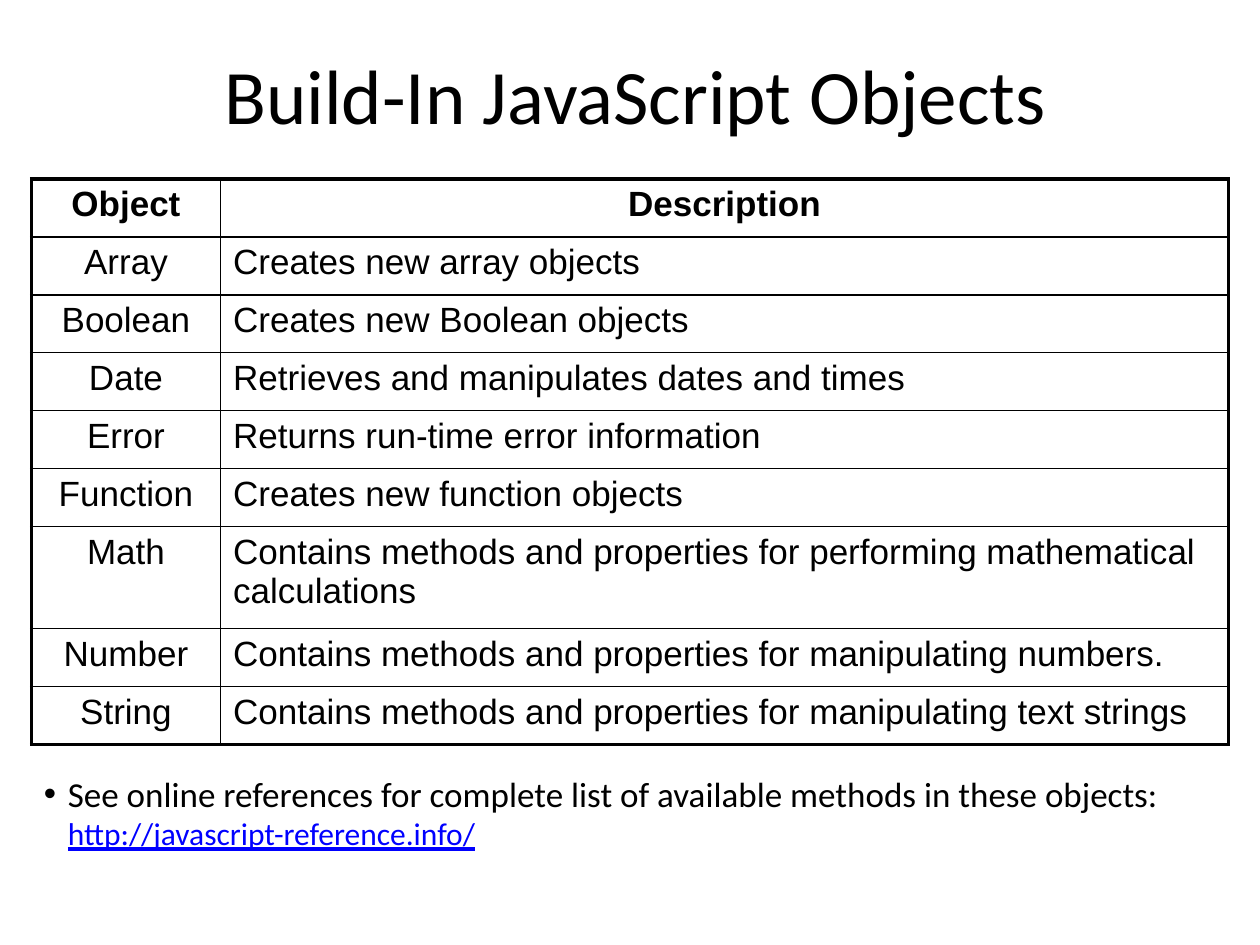
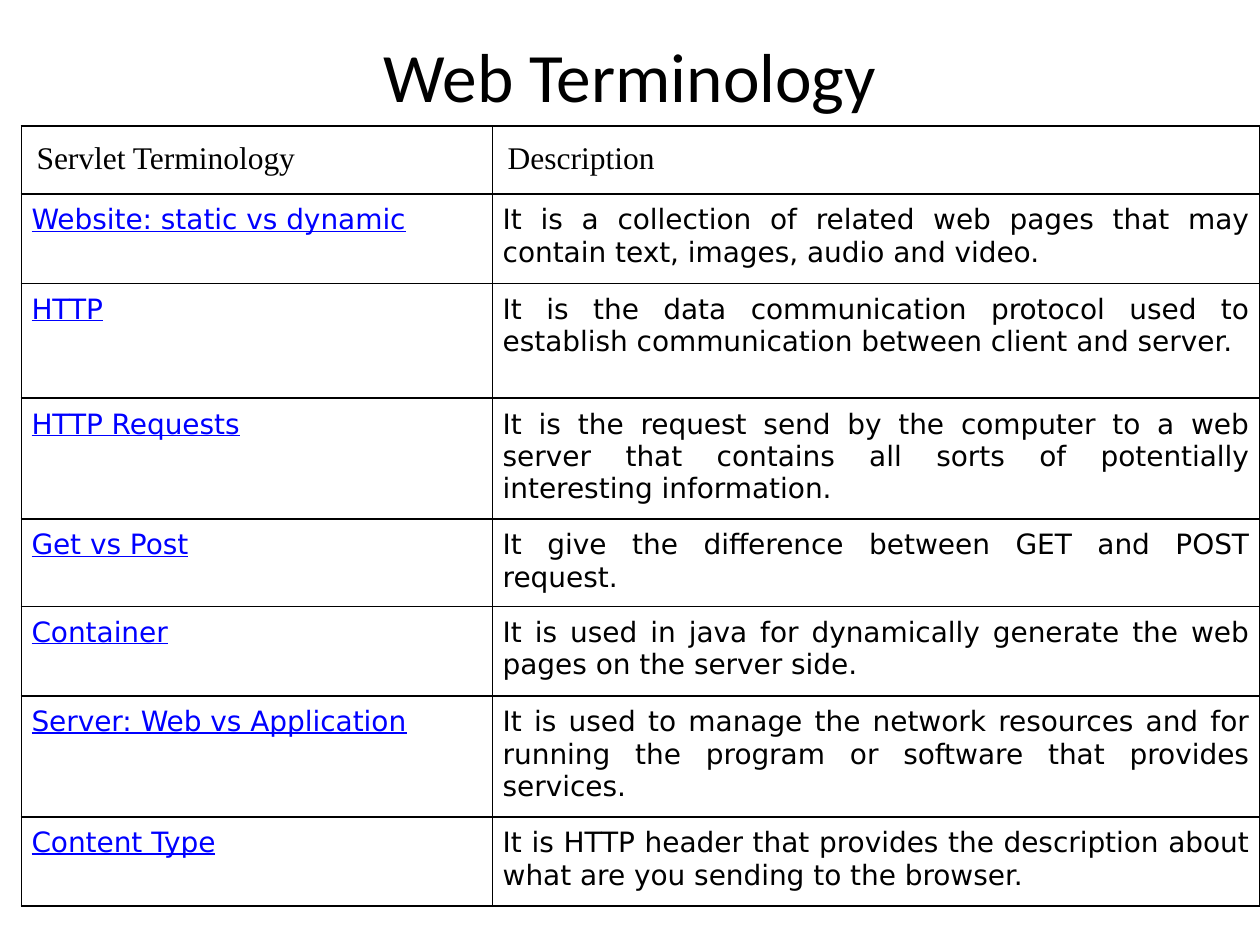
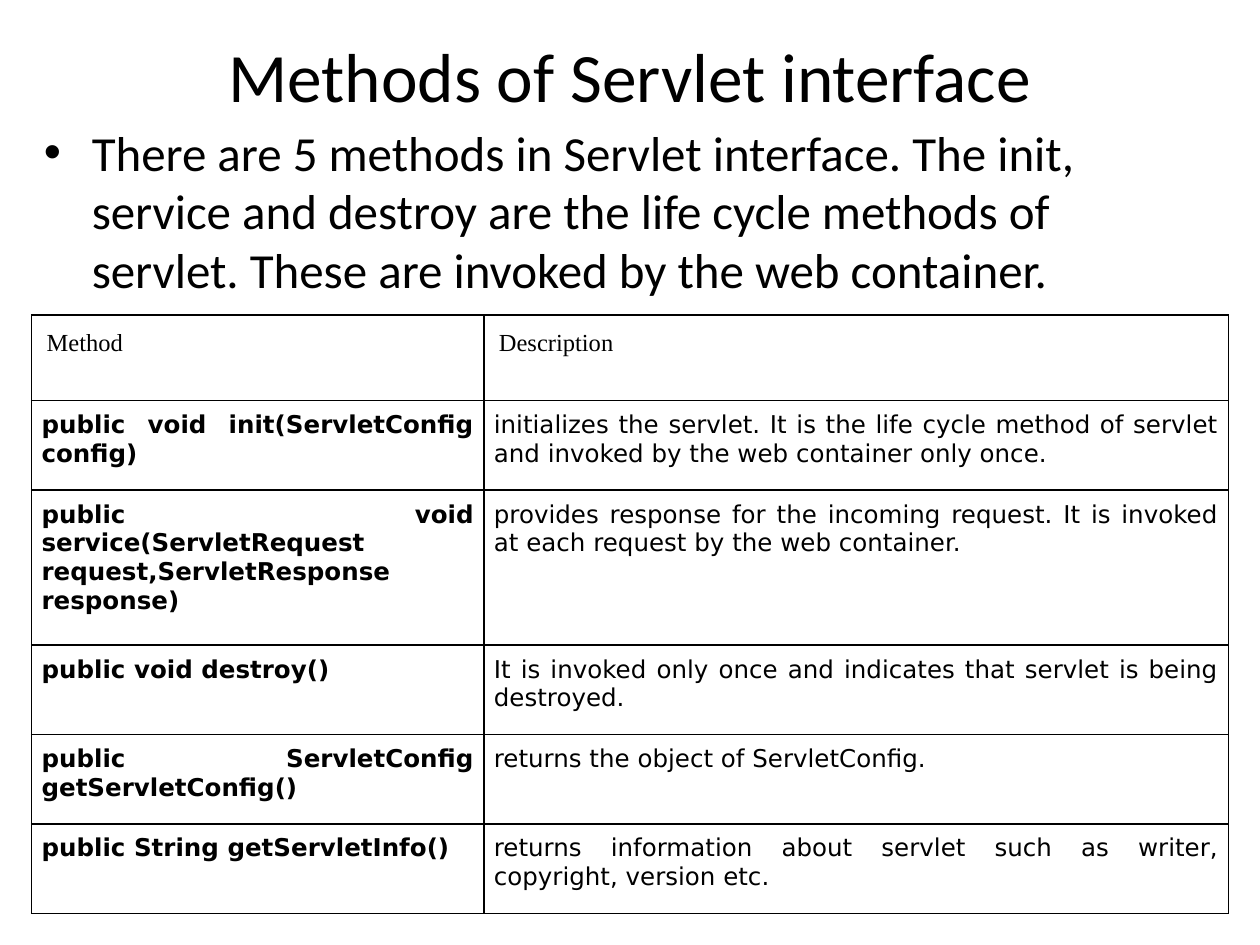
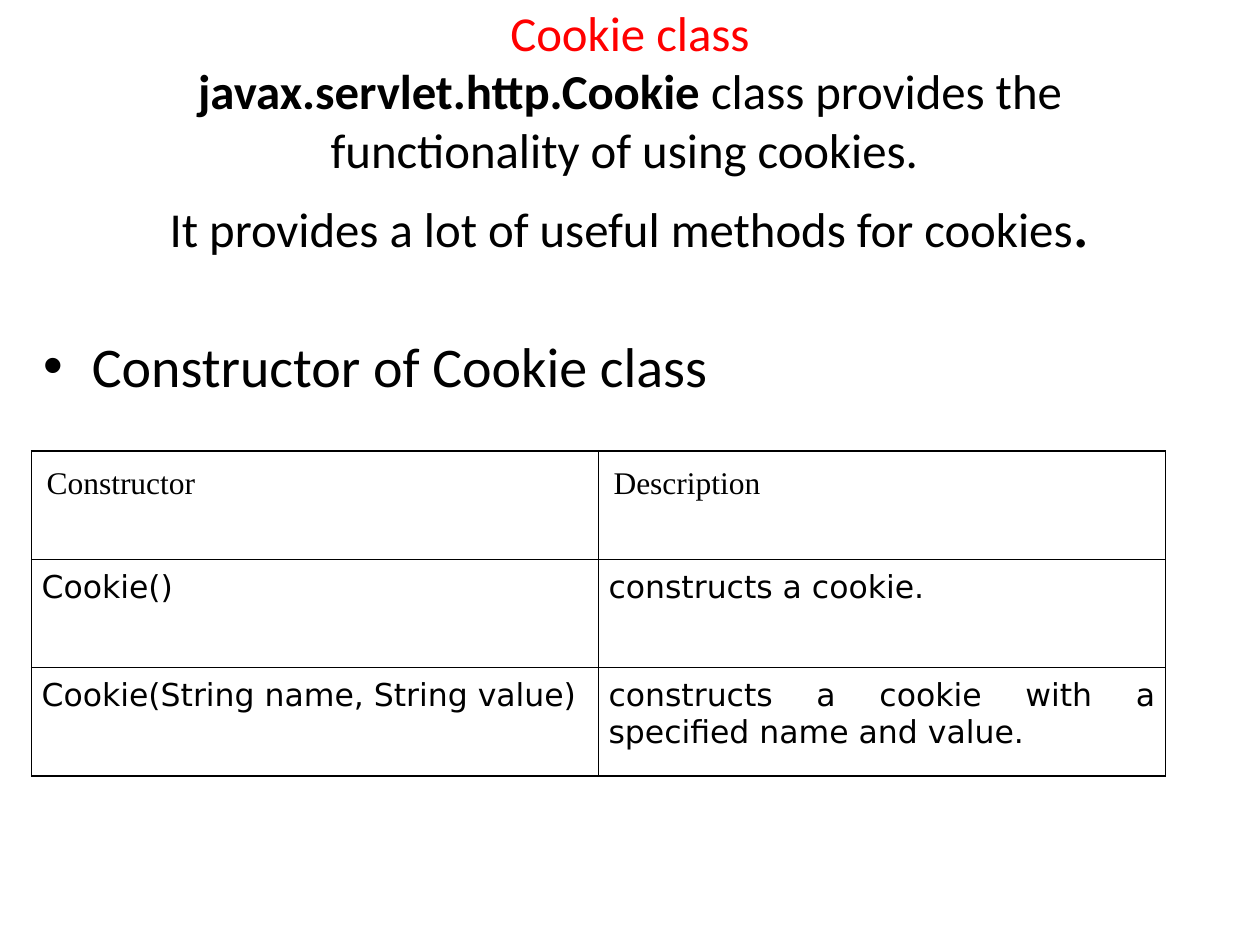
"""Build four slides on JavaScript objects and Java servlets."""
from dataclasses import dataclass

import pptx
import pptx.dml.color
import pptx.enum.text
import pptx.oxml.ns
import pptx.util
from lxml import etree

PX = 9144
COLORS = {"ink": "000000", "link": "0000FF", "accent": "FF0000"}
HEADING_FONT, ARIAL, SERIF, SANS = "Calibri", "Arial", "Times New Roman", "DejaVu Sans"
ALIGN = pptx.enum.text.PP_ALIGN
ANCHOR = pptx.enum.text.MSO_ANCHOR
THIN, THICK = 1, 2.25


@dataclass(frozen=True)
class Box:
    """Place and size in px."""
    left: int
    top: int
    width: int
    height: int


@dataclass(frozen=True)
class CellStyle:
    """Format of the cells in one column or header."""
    font: str
    size: float
    align: ALIGN = ALIGN.LEFT
    color: str = "ink"
    bold: bool = False
    underline: bool = False
    insets: tuple[int, int] = (8, 8)


@dataclass(frozen=True)
class Grid:
    """A two-column table with a header row."""
    box: Box
    columns: tuple[int, int]
    heights: list[int]
    header: CellStyle
    styles: tuple[CellStyle, CellStyle]
    rows: list[tuple[str, str]]
    outline: float = THIN


def px(length: int) -> int:
    """Turn px into EMU."""
    return pptx.util.Emu(length * PX)


def write(paragraph, text: str, *, size: float, font: str = HEADING_FONT,
          color: str = "ink", bold: bool = False, underline: bool = False) -> None:
    """Append formatted text to a paragraph, breaking lines at newlines."""
    for index, line in enumerate(text.split("\n")):
        if index:
            paragraph.add_line_break()
        if line:
            run = paragraph.add_run()
            run.text = line
            run.font.name, run.font.size = font, pptx.util.Pt(size)
            run.font.bold, run.font.underline = bold, underline
            run.font.color.rgb = pptx.dml.color.RGBColor.from_string(COLORS[color])


def add_frame(slide, box: Box, anchor: ANCHOR = ANCHOR.TOP, top: int = 5, bottom: int = 5):
    """Add a wrapping text box and return its text frame."""
    frame = slide.shapes.add_textbox(px(box.left), px(box.top), px(box.width), px(box.height)).text_frame
    frame.word_wrap = True
    frame.vertical_anchor = anchor
    frame.margin_top, frame.margin_bottom = px(top), px(bottom)
    return frame


def add_title(slide, text: str, box: Box = Box(50, 30, 900, 125), size: float = 39.6, bottom: int = 67) -> None:
    """Add a centred slide title."""
    paragraph = add_frame(slide, box, ANCHOR.MIDDLE, 0, bottom).paragraphs[0]
    paragraph.alignment = ALIGN.CENTER
    write(paragraph, text, size=size)


def add_bullet(slide, box: Box, text: str, size: float, indent: int = 38):
    """Add a bulleted paragraph and return it."""
    paragraph = add_frame(slide, box).paragraphs[0]
    properties = paragraph._p.get_or_add_pPr()
    properties.set("marL", str(px(indent)))
    properties.set("indent", str(-px(indent)))
    etree.SubElement(properties, pptx.oxml.ns.qn("a:buFont"), typeface=ARIAL)
    etree.SubElement(properties, pptx.oxml.ns.qn("a:buChar"), char="•")
    write(paragraph, text, size=size)
    return paragraph


def set_borders(cell, widths: dict[str, float]) -> None:
    """Draw the cell's sides (L, R, T, B) in the given point widths."""
    properties = cell._tc.get_or_add_tcPr()
    for index, (side, width) in enumerate(widths.items()):
        line = etree.Element(pptx.oxml.ns.qn(f"a:ln{side}"), w=str(pptx.util.Pt(width)))
        fill = etree.SubElement(line, pptx.oxml.ns.qn("a:solidFill"))
        etree.SubElement(fill, pptx.oxml.ns.qn("a:srgbClr"), val=COLORS["ink"])
        properties.insert(index, line)


def fill_cell(cell, text: str, style: CellStyle) -> None:
    """Write one table cell."""
    cell.fill.background()
    across, down = style.insets
    cell.margin_left = cell.margin_right = px(across)
    cell.margin_top = cell.margin_bottom = px(down)
    paragraph = cell.text_frame.paragraphs[0]
    paragraph.alignment = style.align
    write(paragraph, text, size=style.size, font=style.font, color=style.color,
          bold=style.bold, underline=style.underline)


def add_grid(slide, grid: Grid) -> None:
    """Add a ruled table."""
    box = grid.box
    table = slide.shapes.add_table(len(grid.rows), len(grid.columns), px(box.left), px(box.top),
                                   px(box.width), px(box.height)).table
    table.first_row = table.horz_banding = False
    for column, width in zip(table.columns, grid.columns):
        column.width = px(width)
    last_row, last_column = len(grid.rows) - 1, len(grid.columns) - 1
    for r, (texts, height) in enumerate(zip(grid.rows, grid.heights)):
        table.rows[r].height = px(height)
        for c, text in enumerate(texts):
            cell = table.cell(r, c)
            fill_cell(cell, text, grid.styles[c] if r else grid.header)
            edges = {"L": c == 0, "R": c == last_column, "T": r == 0, "B": r == last_row}
            set_borders(cell, {side: grid.outline if outer else THIN for side, outer in edges.items()})


def serif_header(size: float) -> CellStyle:
    """Return the header style of the servlet tables."""
    return CellStyle(SERIF, size, insets=(12, 12))


def sans_body(size: float, **changes) -> CellStyle:
    """Return the body style of the servlet tables."""
    return CellStyle(SANS, size, ALIGN.JUSTIFY, **changes)


def build_objects(slide) -> None:
    """Build the slide on JavaScript objects."""
    add_title(slide, "Build-In JavaScript Objects", Box(17, 33, 975, 83), 44, 0)
    add_grid(slide, Grid(
        Box(25, 142, 950, 447), (150, 800), [46] * 6 + [81] + [46] * 2,
        CellStyle(ARIAL, 20, ALIGN.CENTER, bold=True, insets=(10, 5)),
        (CellStyle(ARIAL, 20, ALIGN.CENTER, insets=(10, 5)), CellStyle(ARIAL, 20, insets=(10, 5))),
        [("Object", "Description"),
         ("Array", "Creates new array objects"),
         ("Boolean", "Creates new Boolean objects"),
         ("Date", "Retrieves and manipulates dates and times"),
         ("Error", "Returns run-time error information"),
         ("Function", "Creates new function objects"),
         ("Math", "Contains methods and properties for performing mathematical calculations"),
         ("Number", "Contains methods and properties for manipulating numbers."),
         ("String", "Contains methods and properties for manipulating text strings")],
        THICK))
    reference = add_bullet(slide, Box(25, 608, 958, 117),
                           "See online references for complete list of available methods in these objects: ", 20, 19)
    write(reference, "http://javascript-reference.info/", size=18, color="link", underline=True)


def build_terminology(slide) -> None:
    """Build the slide on web terms."""
    add_title(slide, "Web Terminology")
    add_grid(slide, Grid(
        Box(17, 100, 983, 623), (374, 609), [37, 71, 91, 91, 51, 71, 91, 71], serif_header(18),
        (sans_body(16, color="link", underline=True), sans_body(16)),
        [("Servlet Terminology", "Description"),
         ("Website: static vs dynamic",
          "It is a collection of related web pages that may contain text, images, audio and video."),
         ("HTTP",
          "It is the data communication protocol used to establish communication between client and server."),
         ("HTTP Requests",
          "It is the request send by the computer to a web server that contains all sorts of "
          "potentially interesting information."),
         ("Get vs Post", "It give the difference between GET and POST request."),
         ("Container", "It is used in java for dynamically generate the web pages on the server side."),
         ("Server: Web vs Application",
          "It is used to manage the network resources and for running the program or software "
          "that provides services."),
         ("Content Type",
          "It is HTTP header that provides the description about what are you sending to the browser.")]))


def build_methods(slide) -> None:
    """Build the slide on the Servlet interface."""
    add_title(slide, "Methods of Servlet interface")
    add_bullet(slide, Box(25, 92, 925, 633),
               "There are 5 methods in Servlet interface. The init, service and destroy are the life "
               "cycle methods of servlet. These are invoked by the web container.", 28)
    add_grid(slide, Grid(
        Box(25, 250, 950, 475), (359, 591), [68, 71, 123, 71, 71, 71], serif_header(14),
        (sans_body(14, bold=True), sans_body(14)),
        [("Method", "Description"),
         ("public void init(ServletConfig config)",
          "initializes the servlet. It is the life cycle method of servlet and invoked by the "
          "web container only once."),
         ("public void service(ServletRequest request,ServletResponse response)",
          "provides response for the incoming request. It is invoked at each request by the web container."),
         ("public void destroy()", "It is invoked only once and indicates that servlet is being destroyed."),
         ("public ServletConfig getServletConfig()", "returns the object of ServletConfig."),
         ("public String getServletInfo()",
          "returns information about servlet such as writer, copyright, version etc.")]))


def build_cookie(slide) -> None:
    """Build the slide on the Cookie class."""
    intro = add_frame(slide, Box(50, 0, 900, 225), top=2).paragraphs[0]
    intro.alignment = ALIGN.CENTER
    write(intro, "Cookie class\n", size=27.9, color="accent")
    write(intro, "javax.servlet.http.Cookie", size=27.9, bold=True)
    write(intro, " class provides the functionality of using cookies. \n"
                 "It provides a lot of useful methods for cookies", size=27.9)
    write(intro, ".", size=39.6)
    add_bullet(slide, Box(25, 258, 925, 467), "Constructor of Cookie class", 32)
    add_grid(slide, Grid(
        Box(25, 358, 900, 258), (450, 450), [86] * 3, serif_header(18), (sans_body(18), sans_body(18)),
        [("Constructor", "Description"),
         ("Cookie()", "constructs a cookie."),
         ("Cookie(String name, String value)", "constructs a cookie with a specified name and value.")]))


def main() -> None:
    """Build and save the presentation."""
    deck = pptx.Presentation()
    deck.slide_width, deck.slide_height = px(1000), px(750)
    for build in (build_objects, build_terminology, build_methods, build_cookie):
        build(deck.slides.add_slide(deck.slide_layouts[6]))
    deck.save("out.pptx")


if __name__ == "__main__":
    main()
